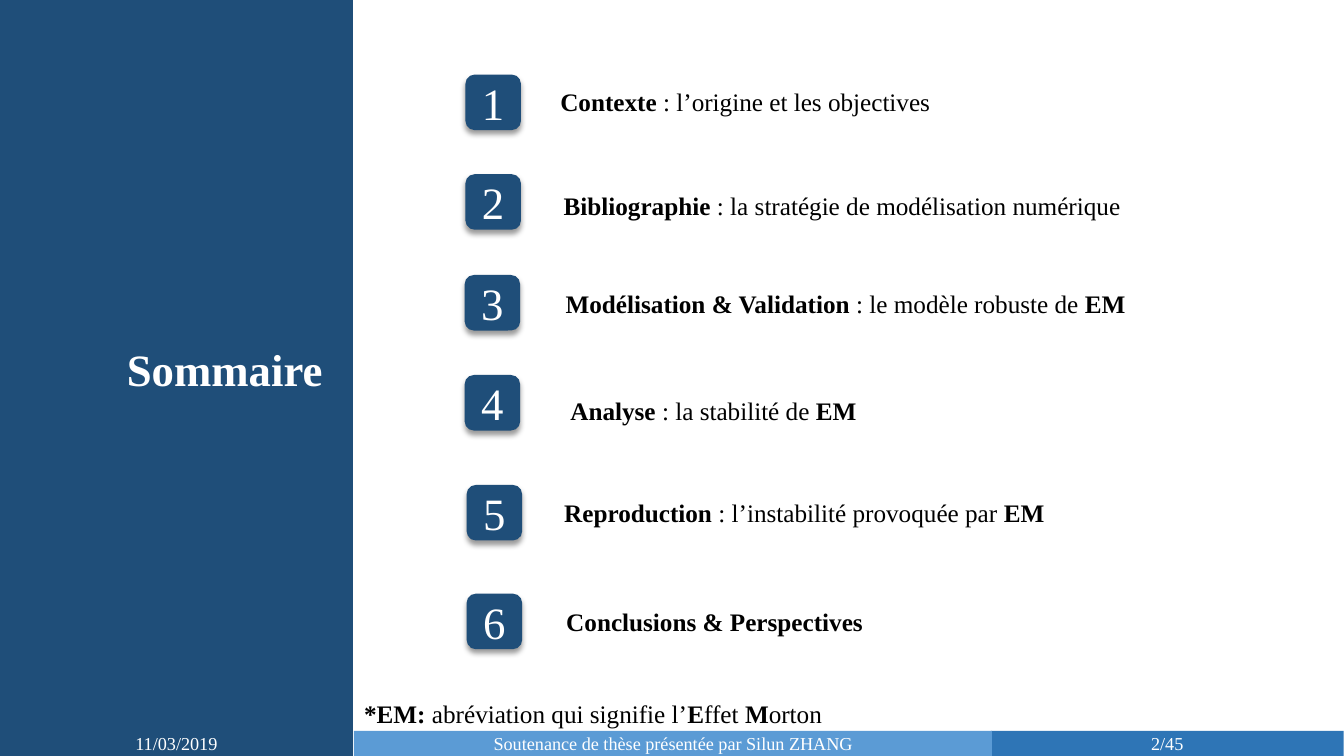
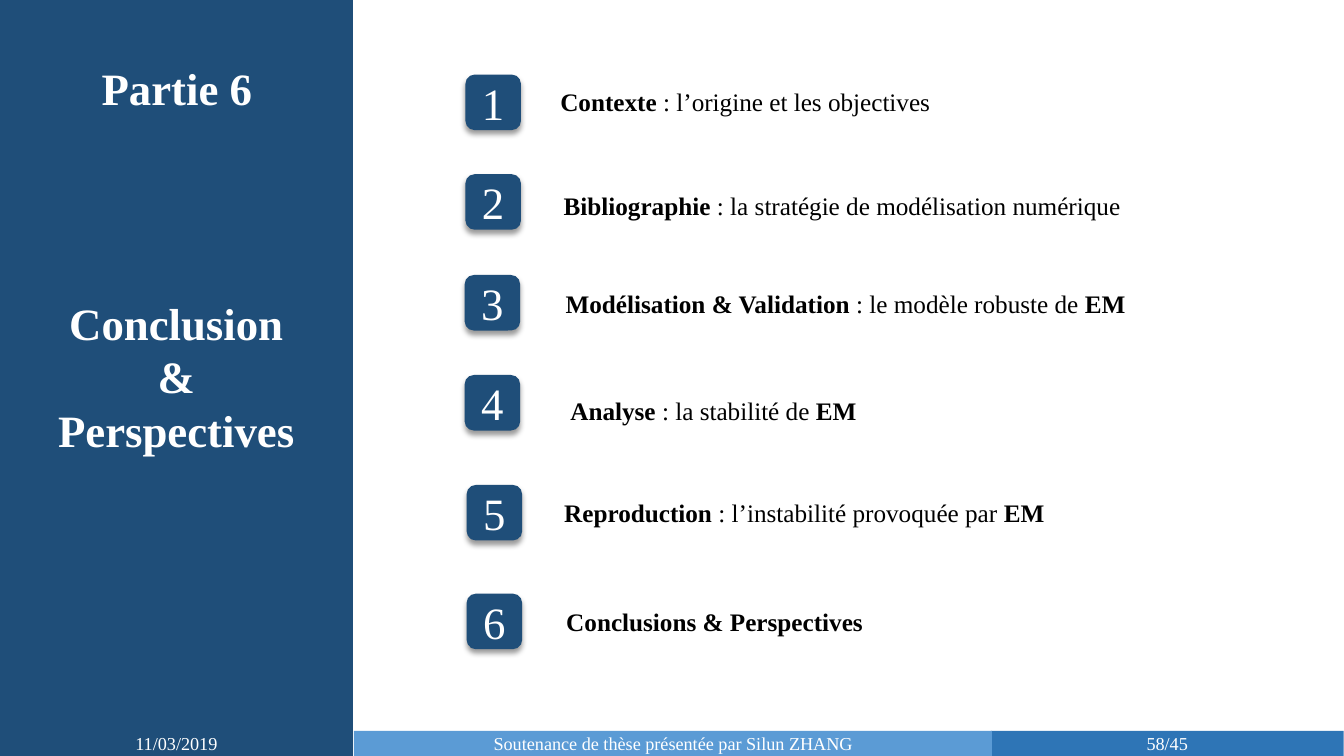
from dataclasses import dataclass
from typing import NamedTuple

from lxml.etree import SubElement
from pptx import Presentation
from pptx.dml.color import RGBColor as RGB
from pptx.enum.shapes import MSO_SHAPE as Shape
from pptx.enum.text import MSO_ANCHOR as Anchor, MSO_AUTO_SIZE as AutoSize, PP_ALIGN as Align
from pptx.oxml.ns import qn
from pptx.util import Cm, Pt


@dataclass(frozen=True)
class Theme:
    font: str = "Times New Roman"
    navy: RGB = RGB(0x1F, 0x4E, 0x79)
    blue: RGB = RGB(0x2E, 0x75, 0xB6)
    sky: RGB = RGB(0x5B, 0x9B, 0xD5)
    white: RGB = RGB(0xFF, 0xFF, 0xFF)
    black: RGB = RGB(0, 0, 0)
    title: int = 32
    body: int = 18
    footer: int = 13


class Entry(NamedTuple):
    badge_x: float
    badge_y: float
    x: float
    y: float
    width: float
    text: str
    align: Align = Align.CENTER


WIDTH, HEIGHT = 33.87, 19.05
PANEL_W = 8.89
FOOTER_H = 0.63
BADGE = 1.4
LINE_H, TITLE_H = 1.02, 1.63

ENTRIES = [
    Entry(11.73, 1.88, 13.82, 2.06, 9.93, "Contexte| : l’origine et les objectives"),
    Entry(11.73, 4.39, 13.82, 4.67, 14.81,
          "Bibliographie| : la stratégie de modélisation numérique"),
    Entry(11.71, 6.93, 13.97, 7.14, 14.68,
          "Modélisation & Validation| : le modèle robuste de |EM"),
    Entry(11.71, 9.45, 14.12, 9.83, 7.72, "Analyse |: la stabilité de |EM"),
    Entry(11.76, 12.22, 13.97, 12.4, 12.67,
          "Reproduction| : l’instabilité provoquée par |EM", Align.LEFT),
    Entry(11.76, 14.96, 13.97, 15.16, 8.08, "Conclusions & Perspectives"),
]


class Deck:
    def __init__(self, theme):
        self.theme = theme
        self.prs = Presentation()
        self.prs.slide_width, self.prs.slide_height = Cm(WIDTH), Cm(HEIGHT)
        self.s = None

    def new_slide(self):
        self.s = self.prs.slides.add_slide(self.prs.slide_layouts[6])

    def style(self, font, size, color, bold=False):
        font.name, font.size, font.bold = self.theme.font, Pt(size), bold
        font.color.rgb = color

    def block(self, kind, x, y, w, h, fill, text="", size=None):
        sp = self.s.shapes.add_shape(kind, Cm(x), Cm(y), Cm(w), Cm(h))
        sp.shadow.inherit = False
        sp.fill.solid()
        sp.fill.fore_color.rgb = fill
        sp.line.fill.background()
        if text:
            tf = sp.text_frame
            tf.word_wrap, tf.vertical_anchor = True, Anchor.MIDDLE
            p = tf.paragraphs[0]
            p.text, p.alignment = text, Align.CENTER
            self.style(p.runs[0].font, size, self.theme.white)
        return sp

    def panel(self, x=0):
        sp = self.block(Shape.RECTANGLE, x, 0, PANEL_W, HEIGHT, self.theme.navy)
        sp.line.color.rgb, sp.line.width = self.theme.navy, Pt(1)

    def badge(self, x, y, number):
        sp = self.block(Shape.ROUNDED_RECTANGLE, x, y, BADGE, BADGE,
                        self.theme.navy, str(number), self.theme.title)
        effects = sp._element.spPr.find(qn("a:effectLst"))
        shadow = SubElement(effects, qn("a:outerShdw"), blurRad=str(Pt(4)),
                            dist=str(Pt(3)), dir="5400000", algn="t", rotWithShape="0")
        color = SubElement(shadow, qn("a:srgbClr"), val=str(self.theme.black))
        SubElement(color, qn("a:alpha"), val="40000")

    def textbox(self, x, y, w, h, wrap=False):
        tf = self.s.shapes.add_textbox(Cm(x), Cm(y), Cm(w), Cm(h)).text_frame
        tf.word_wrap, tf.auto_size = wrap, AutoSize.SHAPE_TO_FIT_TEXT
        return tf

    def title(self, x, y, w, text, h=TITLE_H, wrap=False):
        tf = self.textbox(x, y, w, h, wrap)
        tf.text = text
        for p in tf.paragraphs:
            p.alignment = Align.CENTER
            self.style(p.runs[0].font, self.theme.title, self.theme.white, True)

    def label(self, x, y, w, text, align=Align.CENTER):
        p = self.textbox(x, y, w, LINE_H).paragraphs[0]
        p.alignment = align
        for i, part in enumerate(text.split("|")):
            r = p.add_run()
            r.text = part
            self.style(r.font, self.theme.body, self.theme.black, bold=i % 2 == 0)

    def agenda(self):
        for number, e in enumerate(ENTRIES, 1):
            self.badge(e.badge_x, e.badge_y, number)
            self.label(e.x, e.y, e.width, e.text, e.align)

    def footer(self, page):
        t = self.theme
        bands = [
            (24.97, PANEL_W, t.blue, f"{page}/45"),
            (0, PANEL_W, t.navy, "11/03/2019"),
            (8.92, 16.08, t.sky, "Soutenance de thèse présentée par Silun ZHANG"),
        ]
        for x, w, fill, text in bands:
            self.block(Shape.RECTANGLE, x, HEIGHT - FOOTER_H, w, FOOTER_H,
                       fill, text, t.footer)


def main():
    deck = Deck(Theme())

    deck.new_slide()
    deck.panel(x=-0.02)
    deck.title(2.92, 8.48, 5.49, "Sommaire")
    deck.agenda()
    deck.footer(2)
    deck.label(8.86, 17.48, 12.17,
               "*EM: |abréviation qui signifie l’|E|ffet |M|orton")

    deck.new_slide()
    deck.panel()
    deck.title(0.18, 7.32, 8.53, "Conclusion\n&\nPerspectives", h=4.37, wrap=True)
    deck.title(2.29, 1.4, 4.34, "Partie 6")
    deck.footer(58)
    deck.agenda()

    deck.prs.save("out.pptx")


if __name__ == "__main__":
    main()
